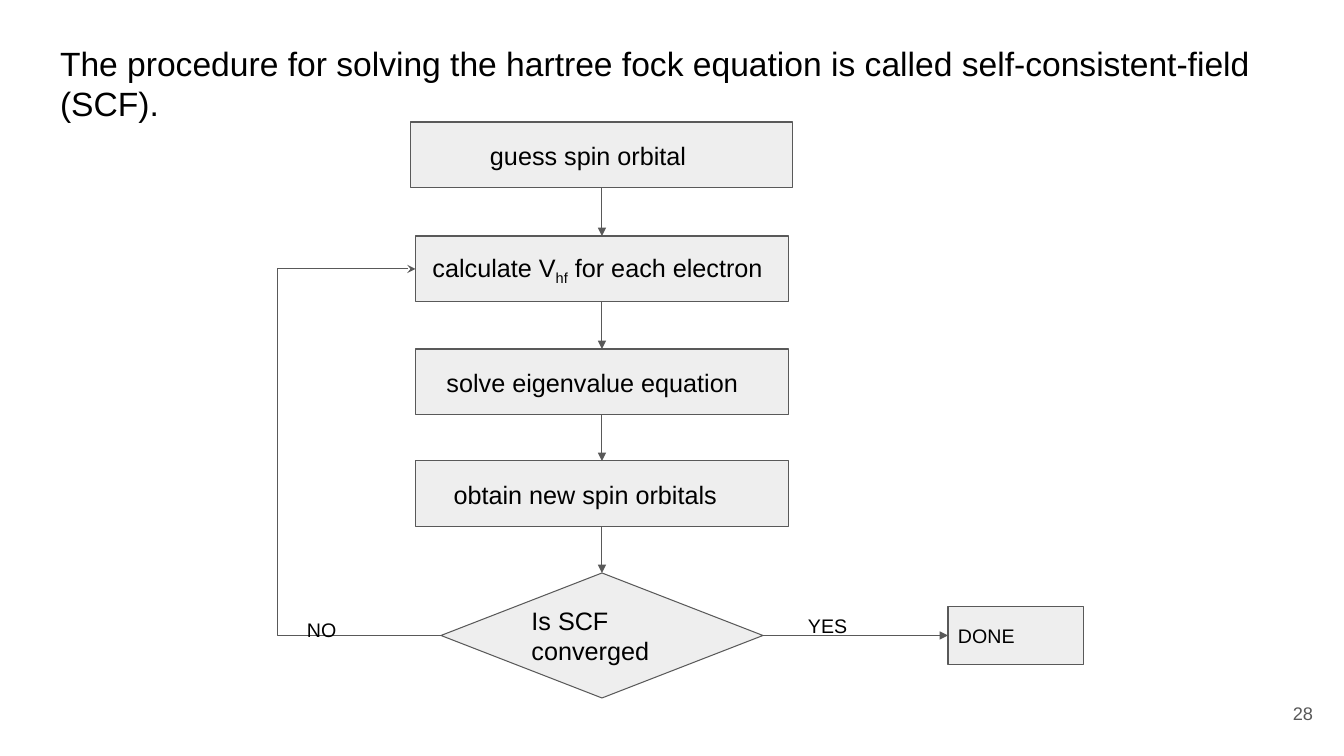
from lxml import etree
from pptx import Presentation, util as u
from pptx.dml.color import RGBColor
from pptx.enum import shapes, text
from pptx.oxml.ns import qn

COLORS = {"ink": "000000", "line": "595959", "fill": "EEEEEE"}
TITLE = ("The procedure for solving the hartree fock equation is called "
         "self-consistent-field (SCF).")
# (paragraphs, width, height, left inset); a paragraph is a list of (words, is_subscript)
STEPS = [
    ([[("guess spin orbital", False)]], 382, 66, 79),
    ([[("calculate V", False), ("hf", True), (" for each electron", False)]], 373, 66, 17),
    ([[("solve eigenvalue equation", False)]], 373, 66, 31),
    ([[("obtain new spin orbitals", False)]], 373, 66, 38),
    ([[("Is SCF", False)], [("converged", False)]], 322, 125, 10),
]
STEP_TOPS = [122, 236, 349, 461, 573]
DONE = ("DONE", (948, 607, 136, 58))
LABELS = [("NO", (297, 608, 72, 38)), ("YES", (798, 604, 93, 46))]
PAGE = ("28", (1245, 685, 81, 57))
AXIS_X = 602
LOOP_X = 278
PX = 914400 / 100.8


def px(n):
    return u.Emu(round(n * PX))


def rgb(name):
    return RGBColor.from_string(COLORS[name])


def write(sp, paragraphs, size, color="ink", inset=10, left=None, align="LEFT", anchor="MIDDLE"):
    tf = sp.text_frame
    frame = {"word_wrap": True, "auto_size": text.MSO_AUTO_SIZE.NONE,
             "vertical_anchor": getattr(text.MSO_ANCHOR, anchor),
             "margin_left": px(inset if left is None else left),
             "margin_right": px(inset), "margin_top": px(inset), "margin_bottom": px(inset)}
    for name, value in frame.items():
        setattr(tf, name, value)
    for i, runs in enumerate(paragraphs):
        p = tf.paragraphs[0] if i == 0 else tf.add_paragraph()
        p.alignment = getattr(text.PP_ALIGN, align)
        for words, subscript in runs:
            r = p.add_run()
            r.text = words
            r.font.name, r.font.size = "Arial", u.Pt(size)
            r.font.color.rgb = rgb(color)
            if subscript:
                r.font._element.set("baseline", "-25000")


def add_node(kind, box, paragraphs, size, left=10):
    sp = slide.shapes.add_shape(kind, *map(px, box))
    sp.shadow.inherit = False
    sp.fill.solid()
    sp.fill.fore_color.rgb = rgb("fill")
    sp.line.color.rgb = rgb("line")
    sp.line.width = u.Pt(0.75)
    write(sp, paragraphs, size, left=left)
    return sp


def add_arrow(start, end, head="triangle", kind=shapes.MSO_CONNECTOR.STRAIGHT):
    cxn = slide.shapes.add_connector(kind, *map(px, (*start, *end)))
    cxn.line.color.rgb = rgb("line")
    cxn.line.width = u.Pt(0.75)
    etree.SubElement(cxn.line._get_or_add_ln(), qn("a:tailEnd"), type=head)
    etree.SubElement(cxn._element.spPr, qn("a:effectLst"))
    return cxn


def add_label(words, box, size, **options):
    write(slide.shapes.add_textbox(*map(px, box)), [[(words, False)]], size, **options)


prs = Presentation()
prs.slide_width, prs.slide_height = px(1344), px(756)
slide = prs.slides.add_slide(prs.slide_layouts[5])

title = slide.shapes.title
title.left, title.top, title.width, title.height = map(px, (47, 30, 1251, 680))
write(title, [[(TITLE, False)]], 24, inset=13, anchor="TOP")

boxes = []
for (paragraphs, width, height, left), top in zip(STEPS, STEP_TOPS):
    box = (AXIS_X - width / 2, top, width, height)
    last = len(boxes) == len(STEPS) - 1
    kind = shapes.MSO_SHAPE.DIAMOND if last else shapes.MSO_SHAPE.RECTANGLE
    add_node(kind, box, paragraphs, 18, left)
    boxes.append(box)

for (_, top, _, height), below in zip(boxes, boxes[1:]):
    add_arrow((AXIS_X, top + height), (AXIS_X, below[1]))

calculate, test = boxes[1], boxes[-1]
test_y = test[1] + test[3] / 2
add_arrow((test[0] + test[2], test_y), (DONE[1][0], test_y))

loop = add_arrow((test[0], test_y), (calculate[0], calculate[1] + calculate[3] / 2),
                 "stealth", shapes.MSO_CONNECTOR.ELBOW)
bend = (test[0] - LOOP_X) / (test[0] - calculate[0])
etree.SubElement(loop._element.spPr.prstGeom.get_or_add_avLst(), qn("a:gd"),
                 name="adj1", fmla=f"val {round(bend * 100000)}")

add_label(*PAGE, 13, color="line", inset=13, align="RIGHT")
for words, box in LABELS:
    add_label(words, box, 14, anchor="TOP")
add_node(shapes.MSO_SHAPE.RECTANGLE, DONE[1], [[(DONE[0], False)]], 14)

prs.save("out.pptx")
